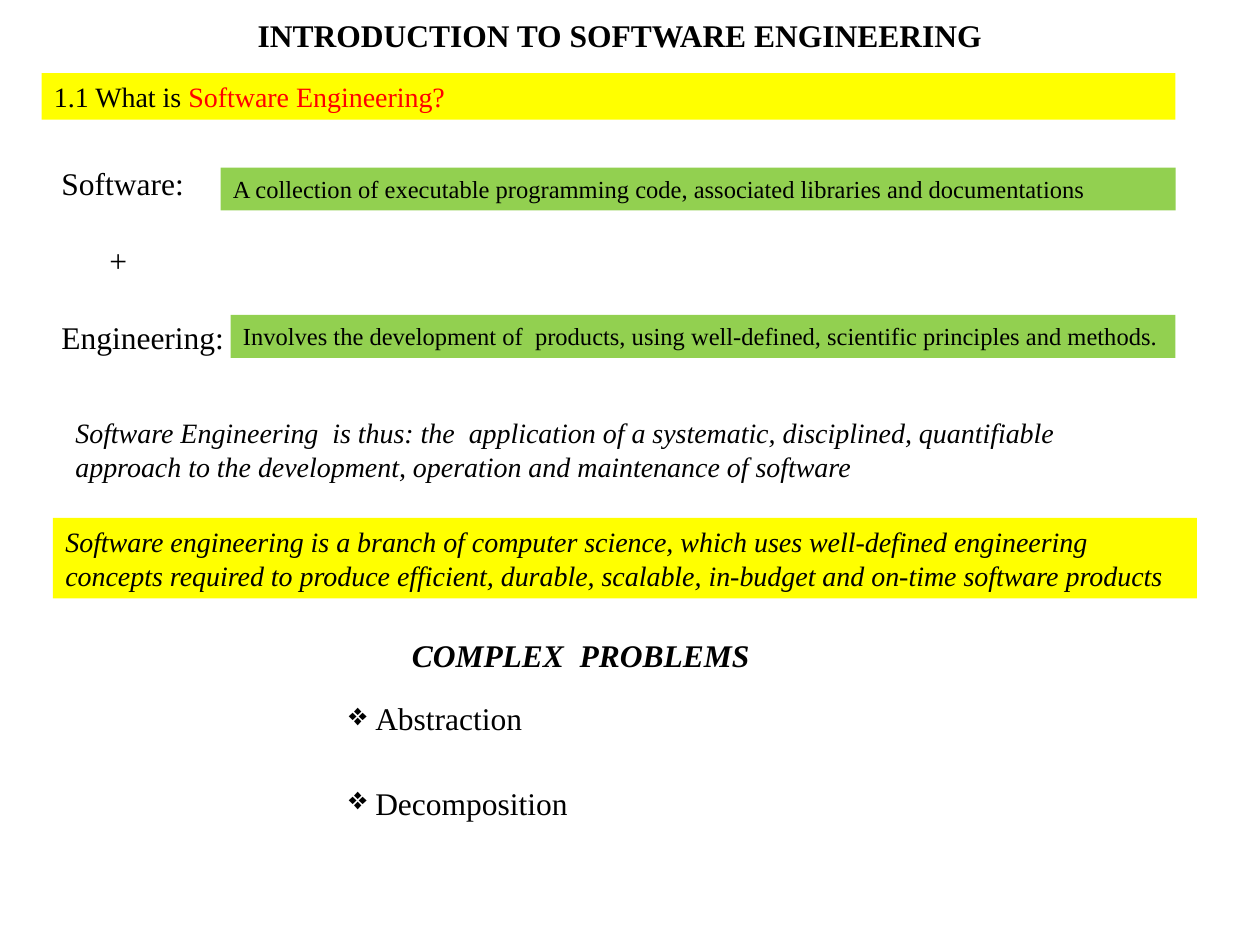
"""Build the slide that introduces software engineering."""
from dataclasses import dataclass
from typing import Optional

from lxml.etree import SubElement
from pptx import Presentation
from pptx.dml.color import RGBColor
from pptx.enum.shapes import MSO_SHAPE
from pptx.enum.text import MSO_ANCHOR, PP_ALIGN
from pptx.oxml.ns import qn
from pptx.slide import Slide
from pptx.util import Inches, Pt


@dataclass(frozen=True)
class Theme:
    font: str = "Times New Roman"
    text: RGBColor = RGBColor(0, 0, 0)
    accent: RGBColor = RGBColor(255, 0, 0)
    yellow: RGBColor = RGBColor(255, 255, 0)
    green: RGBColor = RGBColor(0x92, 0xD0, 0x50)
    large: int = 18
    medium: int = 16
    small: int = 14


THEME = Theme()


@dataclass(frozen=True)
class Box:
    left: float
    top: float
    width: float
    height: float


@dataclass(frozen=True)
class Line:
    text: str
    highlight: str = ""
    indent: float = 0
    space_before: float = 0


def add_text(slide: Slide, box: Box, *lines: Line, size: int = THEME.large,
             fill: Optional[RGBColor] = None, bold: bool = False, italic: bool = False,
             align: PP_ALIGN = PP_ALIGN.LEFT, anchor: MSO_ANCHOR = MSO_ANCHOR.TOP,
             bullet: str = "") -> None:
    place = [Inches(value) for value in (box.left, box.top, box.width, box.height)]
    if fill is None:
        shape = slide.shapes.add_textbox(*place)
    else:
        shape = slide.shapes.add_shape(MSO_SHAPE.RECTANGLE, *place)
        shape.shadow.inherit = False
        shape.fill.solid()
        shape.fill.fore_color.rgb = fill
        shape.line.fill.background()
    frame = shape.text_frame
    frame.word_wrap = True
    frame.vertical_anchor = anchor
    for index, line in enumerate(lines):
        paragraph = frame.add_paragraph() if index else frame.paragraphs[0]
        paragraph.alignment = align
        paragraph.space_before = Pt(line.space_before)
        properties = paragraph._p.get_or_add_pPr()
        properties.set("marL", str(Inches(line.indent)))
        if bullet:
            properties.set("indent", str(-Inches(line.indent)))
            SubElement(properties, qn("a:buChar")).set("char", bullet)
        for text, color in ((line.text, THEME.text), (line.highlight, THEME.accent)):
            if text:
                run = paragraph.add_run()
                run.text = text
                run.font.name = THEME.font
                run.font.size = Pt(size)
                run.font.bold = bold
                run.font.italic = italic
                run.font.color.rgb = color


def add_definitions(slide: Slide) -> None:
    add_text(slide, Box(0.33, 1.25, 1.67, 1.62),
             Line("Software:", indent=0.06),
             Line("+", indent=0.44, space_before=22.4),
             Line("Engineering:", indent=0.06, space_before=22.4))
    definitions = (
        (Box(1.75, 1.33, 7.58, 0.34),
         "A collection of executable programming code, associated libraries and documentations"),
        (Box(1.83, 2.5, 7.5, 0.34),
         "Involves the development of  products, using well-defined, "
         "scientific principles and methods."),
    )
    for box, text in definitions:
        add_text(slide, box, Line(text), size=THEME.small, fill=THEME.green)


def add_problems(slide: Slide) -> None:
    add_text(slide, Box(3.17, 5, 3.75, 0.4), Line("COMPLEX  PROBLEMS"),
             bold=True, italic=True)
    for top, text in ((5.5, "Abstraction"), (6.17, "Decomposition")):
        add_text(slide, Box(2.67, top, 4.42, 0.4), Line(text, indent=0.21), bullet="❖")


def main() -> None:
    presentation = Presentation()
    presentation.slide_width = Inches(10)
    presentation.slide_height = Inches(7.5)
    slide = presentation.slides.add_slide(presentation.slide_layouts[6])
    add_text(slide, Box(0.42, 0.05, 9, 0.45), Line("INTRODUCTION TO SOFTWARE ENGINEERING"),
             bold=True, align=PP_ALIGN.CENTER, anchor=MSO_ANCHOR.MIDDLE)
    add_text(slide, Box(0.33, 0.58, 9, 0.37),
             Line("1.1 What is ", highlight="Software Engineering?"),
             size=THEME.medium, fill=THEME.yellow)
    add_definitions(slide)
    add_text(slide, Box(0.5, 3.25, 8.83, 0.64),
             Line("Software Engineering  is thus: the  application of a systematic, disciplined, "
                  "quantifiable approach to the development, operation and maintenance of software"),
             size=THEME.medium, italic=True)
    add_text(slide, Box(0.42, 4.11, 9.08, 0.64),
             Line("Software engineering is a branch of computer science, which uses well-defined "
                  "engineering concepts required to produce efficient, durable, scalable, "
                  "in-budget and on-time software products"),
             size=THEME.medium, fill=THEME.yellow, italic=True, anchor=MSO_ANCHOR.MIDDLE)
    add_problems(slide)
    presentation.save("out.pptx")


if __name__ == "__main__":
    main()
